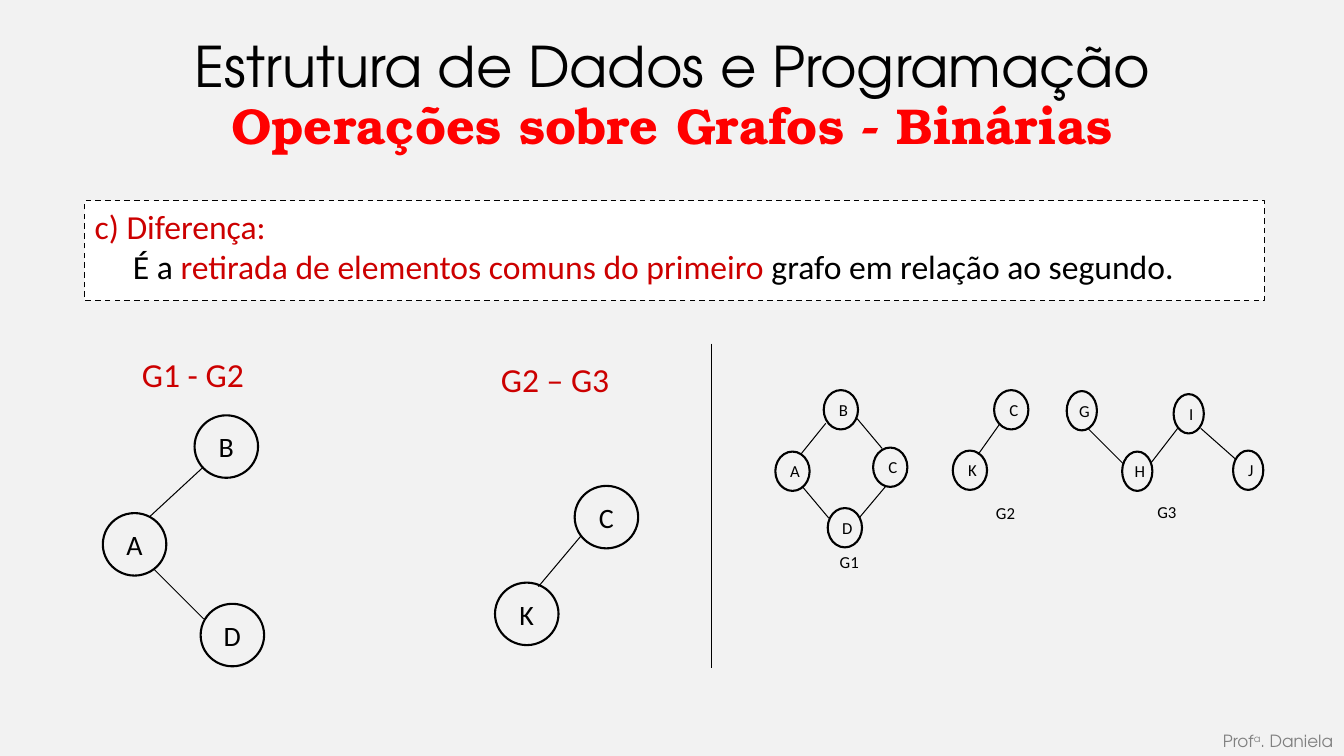
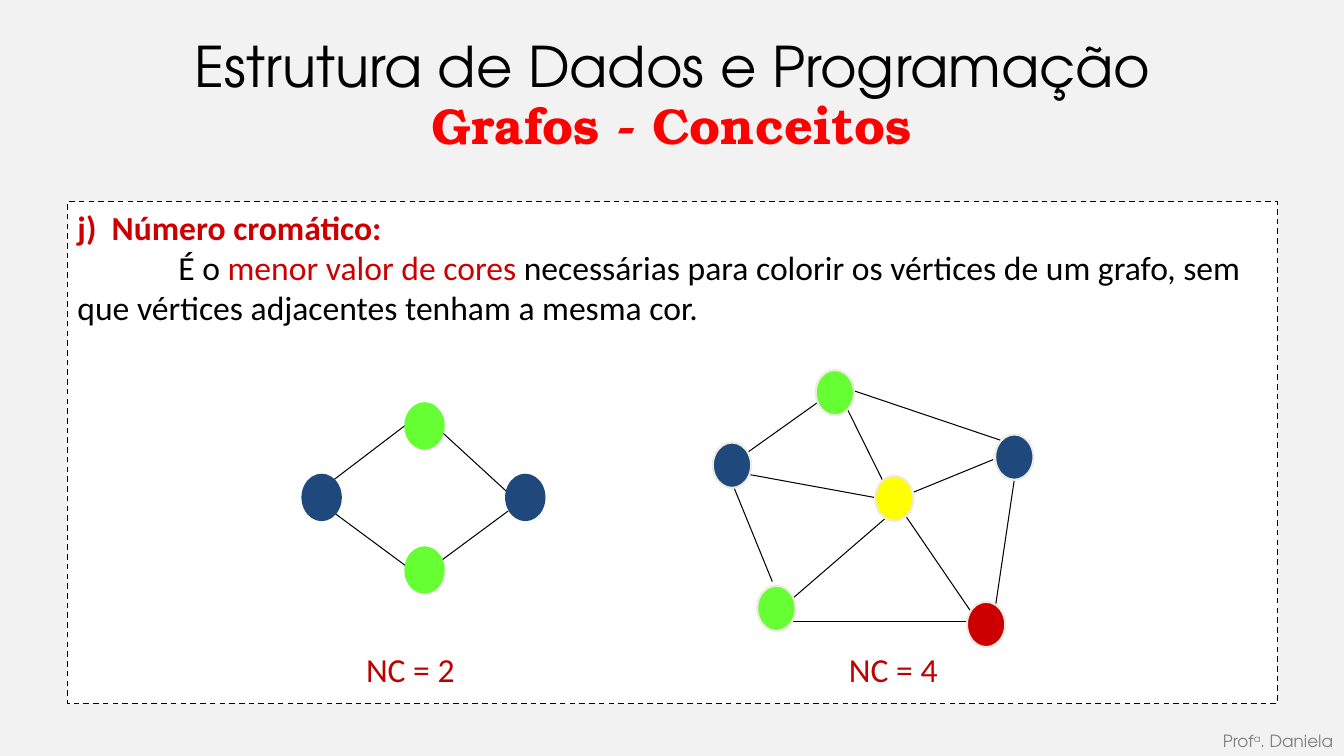
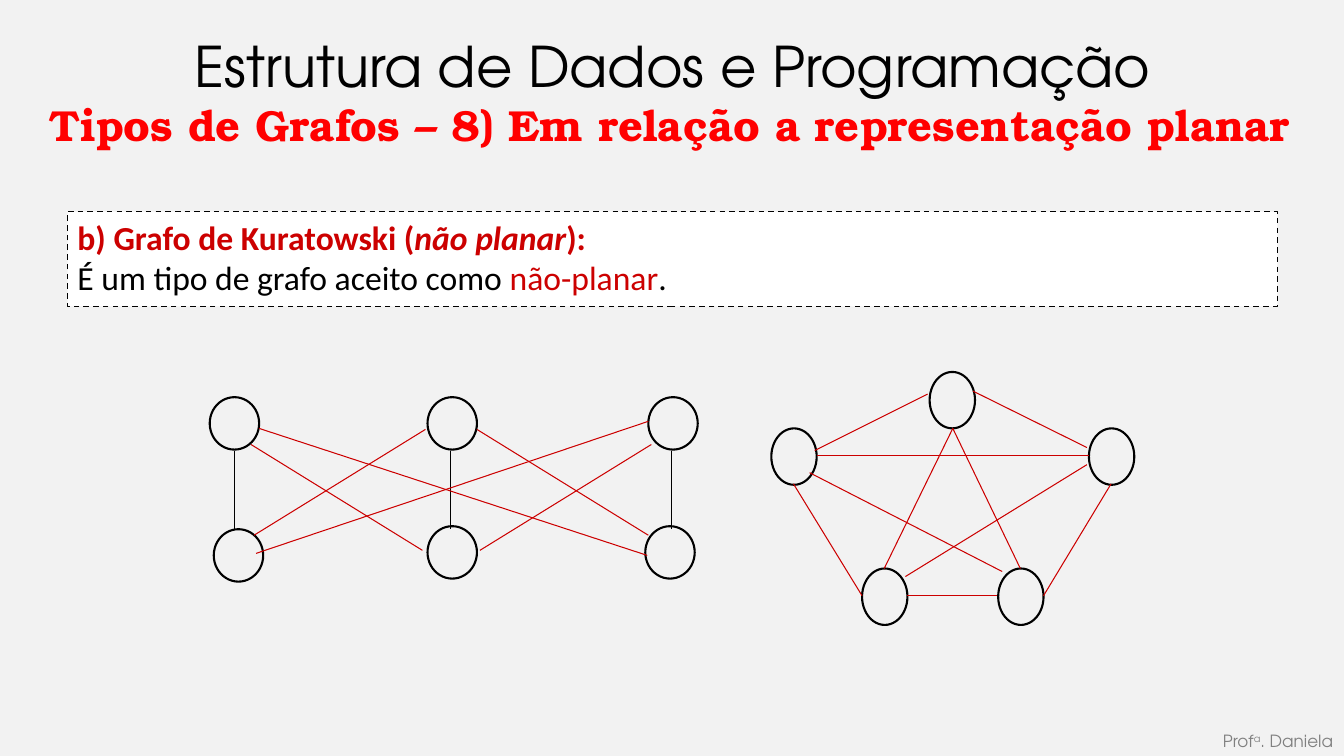
import dataclasses

import pptx
import pptx.dml.color
import pptx.enum.dml
import pptx.enum.shapes
import pptx.enum.text
import pptx.oxml.ns
import pptx.util
from lxml import etree

Inches = pptx.util.Inches
Pt = pptx.util.Pt
RGBColor = pptx.dml.color.RGBColor
Align = pptx.enum.text.PP_ALIGN
Anchor = pptx.enum.text.MSO_ANCHOR
Shape = pptx.enum.shapes.MSO_SHAPE

BLACK = RGBColor(0x00, 0x00, 0x00)
WHITE = RGBColor(0xFF, 0xFF, 0xFF)
PAPER = RGBColor(0xF2, 0xF2, 0xF2)
GRAY = RGBColor(0x80, 0x80, 0x80)
TITLE_RED = RGBColor(0xFF, 0x00, 0x00)
RED = RGBColor(0xCC, 0x00, 0x00)
DARK_RED = RGBColor(0xC0, 0x00, 0x00)
GREEN = RGBColor(0x66, 0xFF, 0x33)
BLUE = RGBColor(0x1F, 0x49, 0x7D)
YELLOW = RGBColor(0xFF, 0xFF, 0x00)
CREAM = RGBColor(0xEE, 0xEC, 0xE1)

BODY_FONT = "Calibri"
TITLE_FONT = "TeX Gyre Adventor"
SUBTITLE_FONT = "TeX Gyre Bonum"


@dataclasses.dataclass
class Span:
    text: str
    color: RGBColor = BLACK
    bold: bool = False
    italic: bool = False
    baseline: int = 0


@dataclasses.dataclass
class NodeStyle:
    width: float
    height: float
    size: int = 12
    left_inset: float = 0


LARGE = NodeStyle(0.63, 0.62, 20)
SMALL = NodeStyle(0.34, 0.39, 12, 0.05)
NARROW = NodeStyle(0.3, 0.39, 12, 0.05)
COLORED = NodeStyle(0.38, 0.45)
BIPARTITE = NodeStyle(0.49, 0.52)
PENTAGON = NodeStyle(0.45, 0.56)


def style_font(font, size, color, name=BODY_FONT, bold=False, italic=False):
    font.size = Pt(size)
    font.color.rgb = color
    font.name = name
    font.bold = bold
    font.italic = italic


def add_spans(para, spans, size, name=BODY_FONT):
    for span in spans:
        run = para.add_run()
        run.text = span.text
        style_font(run.font, size, span.color, name, span.bold, span.italic)
        if span.baseline:
            run.font._element.set("baseline", str(span.baseline))


def add_text(page, at, spans, size, name=BODY_FONT, align=Align.LEFT, anchor=Anchor.TOP):
    box = page.shapes.add_textbox(*map(Inches, at))
    frame = box.text_frame
    frame.word_wrap = True
    frame.vertical_anchor = anchor
    para = frame.paragraphs[0]
    para.alignment = align
    add_spans(para, spans, size, name)


def add_definition(page, at, heading, body, indent=0, left_margin=0):
    box = page.shapes.add_shape(Shape.RECTANGLE, *map(Inches, at))
    box.shadow.inherit = False
    box.fill.solid()
    box.fill.fore_color.rgb = WHITE
    box.line.color.rgb = BLACK
    box.line.width = Pt(1)
    box.line.dash_style = pptx.enum.dml.MSO_LINE.DASH
    frame = box.text_frame
    frame.word_wrap = True
    frame.vertical_anchor = Anchor.TOP
    first, second = frame.paragraphs[0], frame.add_paragraph()
    for para, spans in ((first, heading), (second, body)):
        para.alignment = Align.LEFT
        add_spans(para, spans, 24)
    properties = second._p.get_or_add_pPr()
    properties.set("marL", str(Inches(left_margin)))
    properties.set("indent", str(Inches(indent)))


def add_node(page, style, left, top, label="", fill=None, outline=BLACK):
    node = page.shapes.add_shape(
        Shape.OVAL, Inches(left), Inches(top), Inches(style.width), Inches(style.height))
    node.shadow.inherit = False
    if fill is None:
        node.fill.background()
    else:
        node.fill.solid()
        node.fill.fore_color.rgb = fill
    node.line.color.rgb = outline
    node.line.width = Pt(1.5)
    if label:
        frame = node.text_frame
        frame.word_wrap = False
        frame.margin_left = Inches(style.left_inset)
        frame.margin_right = frame.margin_top = frame.margin_bottom = 0
        frame.vertical_anchor = Anchor.MIDDLE
        frame.text = label
        para = frame.paragraphs[0]
        para.alignment = Align.CENTER
        style_font(para.runs[0].font, style.size, BLACK)


def add_nodes(page, style, nodes):
    for label, left, top in nodes:
        add_node(page, style, left, top, label)


def add_edges(page, edges, color=BLACK):
    for edge in edges:
        line = page.shapes.add_connector(
            pptx.enum.shapes.MSO_CONNECTOR.STRAIGHT, *map(Inches, edge))
        line.line.color.rgb = color
        line.line.width = Pt(0.75)
        etree.SubElement(line._element.spPr, pptx.oxml.ns.qn("a:effectLst"))


def add_page(deck, subtitle, size=36, left=0.26):
    page = deck.slides.add_slide(deck.slide_layouts[6])
    add_text(page, (9.75, 7.2, 3.57, 0.3),
             [Span("Prof", GRAY), Span("a", GRAY, baseline=30000), Span(". Daniela", GRAY)],
             12, TITLE_FONT, Align.RIGHT)
    add_text(page, (0.67, 0.02, 12, 1.25), [Span("Estrutura de Dados e Programação")],
             40, TITLE_FONT, Align.CENTER, Anchor.MIDDLE)
    add_text(page, (left, 0.92, 13.07 - left, 0.63), [Span(subtitle, TITLE_RED, True)],
             size, SUBTITLE_FONT, Align.CENTER, Anchor.MIDDLE)
    return page


def build_difference(deck):
    page = add_page(deck, "Operações sobre Grafos - Binárias")
    add_definition(
        page, (0.84, 1.99, 11.7, 0.99),
        [Span("c) Diferença:", RED)],
        [Span("É a "), Span("retirada de elementos comuns do primeiro ", RED),
         Span("grafo em relação ao segundo.")],
        left_margin=0.38)
    add_nodes(page, LARGE, [
        ("B", 1.93, 4.12), ("A", 1.02, 5.09), ("D", 1.99, 5.99),
        ("C", 5.7, 4.82), ("K", 4.91, 5.78)])
    add_nodes(page, SMALL, [
        ("B", 8.17, 3.87), ("C", 8.66, 4.44), ("A", 7.69, 4.48), ("D", 8.21, 5.04),
        ("C", 9.86, 3.87), ("K", 9.45, 4.47)])
    add_nodes(page, NARROW, [
        ("I", 11.64, 3.91), ("G", 10.58, 3.88), ("H", 11.13, 4.48), ("J", 12.23, 4.47)])
    add_edges(page, [
        (2.02, 6.14, 1.53, 5.65), (1.48, 5.13, 2.01, 4.64), (5.76, 5.32, 5.34, 5.82),
        (8.49, 4.14, 8.75, 4.45), (8.78, 4.83, 8.52, 5.14), (8.22, 5.14, 7.96, 4.83),
        (7.94, 4.51, 8.19, 4.2), (9.92, 4.2, 9.7, 4.51), (10.79, 4.25, 11.14, 4.6),
        (11.41, 4.6, 11.68, 4.25), (11.91, 4.25, 12.26, 4.56), (7.06, 3.41, 7.06, 6.63)])
    for label, left, top in (("G1", 8.23, 5.42), ("G2", 9.78, 4.94), ("G3", 11.38, 4.93)):
        add_text(page, (left, top, 0.45, 0.39), [Span(label)], 12)
    for label, left, top in (("G1 - G2", 1.31, 3.46), ("G2 – G3", 4.87, 3.51)):
        add_text(page, (left, top, 1.34, 0.5), [Span(label, RED)], 24)


def build_chromatic_number(deck):
    page = add_page(deck, "Grafos - Conceitos")
    add_definition(
        page, (0.67, 2, 12, 4.98),
        [Span("j)  Número cromático:", RED, True)],
        [Span("É o "), Span("menor valor de cores", RED),
         Span(" necessárias para colorir os vértices de um grafo, sem que vértices "
              "adjacentes tenham a mesma cor.")],
        indent=1)
    for label, center in (("NC = 2", 4.07), ("NC = 4", 8.86)):
        add_text(page, (center - 0.75, 6.39, 1.5, 0.5), [Span(label, DARK_RED)],
                 24, align=Align.CENTER)
    add_edges(page, [
        (8.24, 3.9, 7.37, 4.52), (7.22, 4.69, 7.66, 5.77), (4.31, 4.22, 5.04, 4.89),
        (4.02, 4.22, 3.14, 4.89), (4.31, 5.61, 5.04, 5.07), (3.29, 5.07, 4.02, 5.61),
        (7.8, 5.99, 8.83, 5.1), (7.8, 6.17, 9.7, 6.17), (9.85, 6.17, 10.06, 4.76),
        (8.97, 5.1, 9.7, 6.17), (8.97, 4.92, 9.85, 4.56), (8.83, 4.92, 8.39, 4.03),
        (8.39, 3.85, 9.99, 4.39), (7.39, 4.7, 8.7, 4.94)])
    for fill, left, top in (
            (GREEN, 4.02, 4), (GREEN, 4.02, 5.43), (BLUE, 5.02, 4.71), (BLUE, 3, 4.71)):
        add_node(page, COLORED, left, top, fill=fill, outline=fill)
    for fill, left, top in (
            (RED, 9.59, 5.97), (GREEN, 7.51, 5.81), (YELLOW, 8.68, 4.72),
            (BLUE, 7.07, 4.39), (GREEN, 8.09, 3.67), (BLUE, 9.87, 4.31)):
        add_node(page, COLORED, left, top, fill=fill, outline=CREAM)


def build_kuratowski(deck):
    page = add_page(deck, "Tipos de Grafos – 8) Em relação a representação planar", 31, 0.21)
    add_definition(
        page, (0.67, 2.1, 12, 0.94),
        [Span("b) Grafo de Kuratowski (", RED, True), Span("não planar", RED, True, True),
         Span("):", RED, True)],
        [Span("É um tipo de grafo aceito como "), Span("não-planar", RED), Span(".")])
    for left, top in ((2.08, 3.94), (2.12, 5.25), (4.24, 3.94),
                      (6.43, 3.94), (6.4, 5.22), (4.24, 5.22)):
        add_node(page, BIPARTITE, left, top)
    for left, top in ((9.22, 3.69), (10.8, 4.25), (9.9, 5.64), (8.55, 5.64), (7.65, 4.25)):
        add_node(page, PENTAGON, left, top)
    add_edges(page, [(center, 4.47, center, 5.25) for center in (2.33, 4.47, 6.66)])
    add_edges(page, [
        (4.73, 4.26, 6.43, 5.31), (4.22, 4.26, 2.52, 5.31), (2.49, 4.41, 4.19, 5.46),
        (2.57, 4.25, 6.42, 5.51), (6.46, 4.41, 4.76, 5.46), (6.43, 4.18, 2.54, 5.49),
        (9.2, 3.91, 8.08, 4.47), (9.65, 3.88, 10.78, 4.44), (9.45, 4.25, 10.12, 5.64),
        (9.45, 4.25, 8.77, 5.64), (10.35, 5.91, 11.02, 4.8), (8.55, 5.91, 7.87, 4.8),
        (9, 5.91, 9.89, 5.91), (10.78, 4.61, 8.98, 5.72), (10.8, 4.52, 8.1, 4.52),
        (8.03, 4.69, 9.94, 5.67)], RED)


def main():
    deck = pptx.Presentation()
    deck.slide_width = Inches(13.33)
    deck.slide_height = Inches(7.5)
    background = deck.slide_master.background.fill
    background.solid()
    background.fore_color.rgb = PAPER
    build_difference(deck)
    build_chromatic_number(deck)
    build_kuratowski(deck)
    deck.save("out.pptx")


if __name__ == "__main__":
    main()
